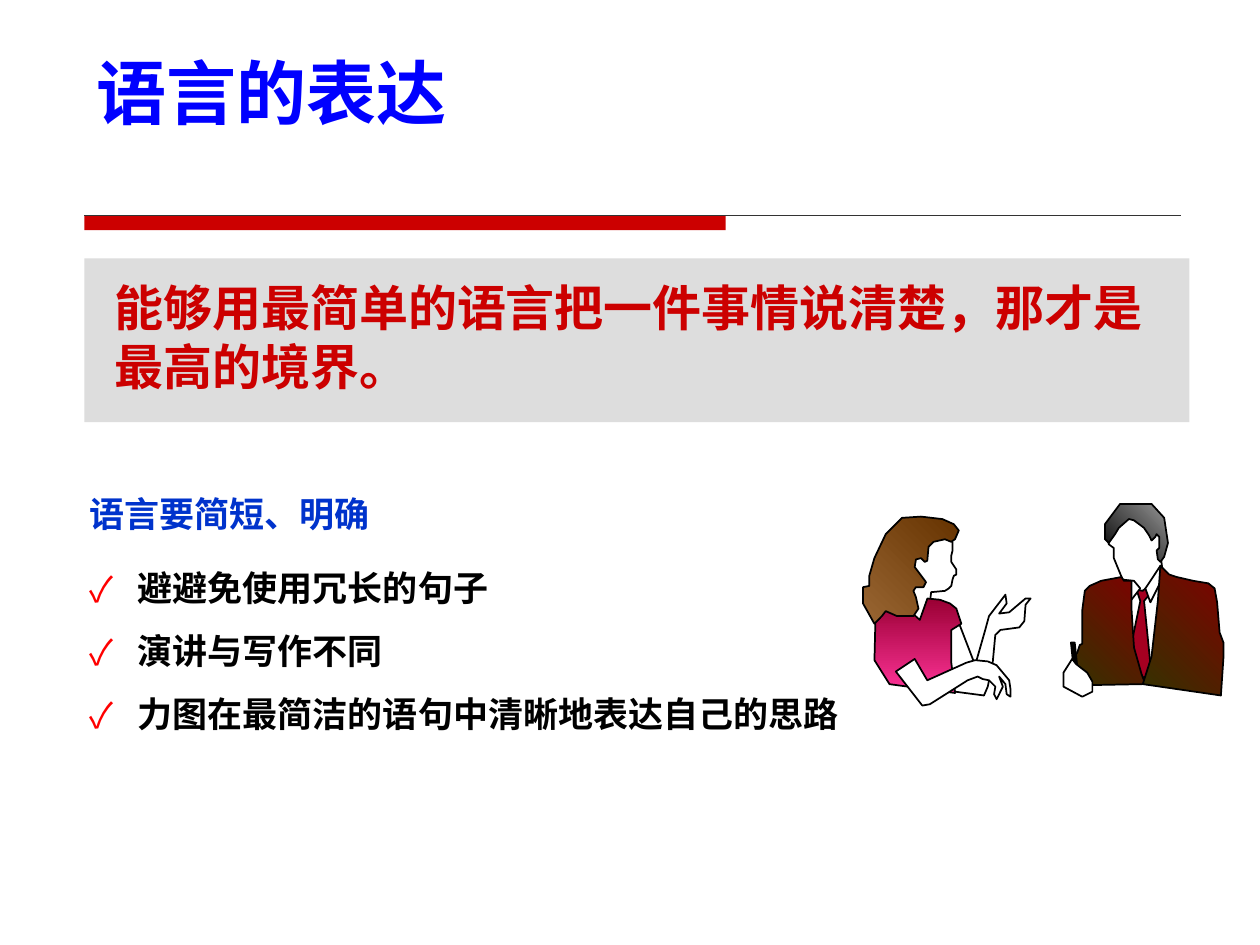
from lxml.etree import SubElement
from pptx import Presentation
from pptx.dml.color import RGBColor
from pptx.enum.shapes import MSO_CONNECTOR, MSO_SHAPE
from pptx.enum.text import MSO_ANCHOR, PP_ALIGN
from pptx.oxml.ns import qn
from pptx.util import Cm, Pt

FONT = "Noto Sans CJK SC"
HEX = {
    "title": "0000FF", "red": "CC0000", "rule": "333333", "panel": "DDDDDD",
    "head": "0033CC", "text": "000000", "tick": "FF0000",
    "white": "FFFFFF", "black": "000000", "tie": "A50021",
    "wine": "990033", "pink": "FF3399", "tan": "996633", "brown": "663300",
    "grey": "969696", "olive": "333300", "maroon": "800000",
}
UNIT = 0.0254  # drawing grid step in cm

# Each part: fill name, or (from, to, angle), then x,y points on the grid
WOMAN = [
    ("white", "98,22 105,27 106,31 106,37 105,41 105,46 109,52 109,56 107,57 106,60 "
              "105,65 103,67 100,69 89,70 85,102 64,84 68,35"),
    ("white", "109,89 124,128 132,100 135,89 148,72 149,79 143,87 151,86 164,75 168,75 "
              "164,80 163,93 159,98 144,100 140,104 138,125 134,145 131,152 108,149 "
              "98,124 102,94"),
    (("wine", "pink", 270), "80,92 86,75 96,76 104,79 109,83 113,95 105,100 105,126 "
                            "108,150 56,143 44,124 45,82 70,83"),
    (("tan", "brown", 45), "40,65 35,66 35,79 44,95 50,89 53,85 62,89 75,89 79,83 77,74 "
                           "75,69 77,66 83,66 85,62 76,50 77,44 81,43 84,46 86,45 87,34 "
                           "91,30 100,28 105,30 108,28 111,21 107,16 98,12 81,10 66,11 "
                           "53,24 44,43 40,57"),
    ("white", "61,133 76,123 86,140 117,126 124,124 134,125 141,128 151,140 152,147 "
              "152,153 149,151 148,143 143,137 146,145 142,153 141,155 139,151 140,145 "
              "135,140 130,139 126,137 118,140 88,159 82,160"),
]
SUIT = ("olive", "maroon", 45)
MAN = [
    ("white", "95,66 107,69 124,57 118,130 97,130"),
    ("white", "91,9 79,26 80,32 84,35 84,43 91,60 99,61 100,71 124,63 121,40 123,25 108,9"),
    (("black", "grey", 45), "89,0 77,16 77,28 80,31 85,24 88,19 96,12 100,13 108,19 "
                            "112,25 114,29 117,26 118,24 120,26 120,35 118,37 119,44 "
                            "121,46 124,42 127,31 124,11 114,0"),
    ("tie", "102,68 107,69 110,66 113,71 108,77 114,137 100,138 99,106 105,77"),
    ("white", "124,56 121,49 109,67 113,78"),
    ("white", "92,61 100,61 105,67 98,76"),
    (SUIT, "98,61 92,61 90,58 74,61 65,65 61,69 59,84 59,111 57,112 55,118 50,125 "
           "54,144 109,143 106,135 100,114 98,83"),
    (SUIT, "169,152 171,122 171,110 168,102 166,78 164,67 159,63 147,61 134,58 128,56 "
           "121,49 119,77 114,121 107,143"),
    ("black", "53,110 50,110 53,139 56,138"),
    ("white", "44,134 51,123 54,127 63,134 67,141 67,149 59,153 44,145"),
]


def rgb(name):
    return RGBColor.from_string(HEX[name])


def place(shape, box):
    shape.left, shape.top, shape.width, shape.height = (Cm(v) for v in box)


def write(par, text, size, color):
    run = par.add_run()
    run.text = text
    font = run.font
    font.name, font.size, font.bold = FONT, Pt(size), True
    font.color.rgb = rgb(color)
    SubElement(run._r.get_or_add_rPr(), qn("a:ea"), typeface=FONT)
    par.alignment = PP_ALIGN.LEFT


def title(slide, box):
    shape = slide.shapes.title
    place(shape, box)
    shape.text_frame.vertical_anchor = MSO_ANCHOR.MIDDLE
    write(shape.text_frame.paragraphs[0], "语言的表达", 40, "title")


def block(slide, box, color):
    """Add a plain filled rectangle without outline."""
    shape = slide.shapes.add_shape(MSO_SHAPE.RECTANGLE, *(Cm(v) for v in box))
    shape.shadow.inherit = False
    shape.fill.solid()
    shape.fill.fore_color.rgb = rgb(color)
    shape.line.fill.background()
    return shape


def rule(slide, box):
    left, top, width, height = box
    block(slide, (left, top, 12.93, height), "red")
    line = slide.shapes.add_connector(
        MSO_CONNECTOR.STRAIGHT, Cm(left), Cm(top), Cm(left + width), Cm(top))
    line.line.color.rgb = rgb("rule")
    line.line.width = Pt(0.75)
    SubElement(line._element.spPr, qn("a:effectLst"))


def quote(slide, box):
    frame = block(slide, box, "panel").text_frame
    frame.word_wrap = True
    frame.vertical_anchor = MSO_ANCHOR.TOP
    frame.margin_left = frame.margin_right = Cm(0.61)
    frame.margin_top, frame.margin_bottom = Cm(0.38), Cm(0.51)
    write(frame.paragraphs[0],
          "能够用最简单的语言把一件事情说清楚，那才是最高的境界。", 28, "red")


def tick(par):
    props = par._p.get_or_add_pPr()
    props.set("marL", str(Cm(0.97)))
    props.set("indent", str(-Cm(0.97)))
    color = SubElement(props, qn("a:buClr"))
    SubElement(color, qn("a:srgbClr"), val=HEX["tick"])
    SubElement(props, qn("a:buFont"), typeface=FONT)
    SubElement(props, qn("a:buChar"), char="✓")


def advice(slide, box):
    shape = slide.placeholders[1]
    place(shape, box)
    frame = shape.text_frame
    head = frame.paragraphs[0]
    props = head._p.get_or_add_pPr()
    props.set("marL", "0")
    props.set("indent", "0")
    SubElement(props, qn("a:buNone"))
    head.line_spacing = 1.4
    head.space_before, head.space_after = Pt(0), Pt(6)
    write(head, "语言要简短、明确", 20, "head")
    for text in ("避避免使用冗长的句子", "演讲与写作不同",
                 "力图在最简洁的语句中清晰地表达自己的思路"):
        par = frame.add_paragraph()
        tick(par)
        par.line_spacing = 1.5
        par.space_before = par.space_after = Pt(0)
        write(par, text, 20, "text")


def paint(fill, color):
    if isinstance(color, str):
        fill.solid()
        fill.fore_color.rgb = rgb(color)
        return
    *ends, angle = color
    fill.gradient()
    fill.gradient_angle = angle
    for stop, name, pos in zip(fill.gradient_stops, ends, (0, 1)):
        stop.color.rgb = rgb(name)
        stop.position = pos


def figure(slide, left, top, parts):
    """Draw one person as a group of outlines from the given corner."""
    group = slide.shapes.add_group_shape()
    for color, text in parts:
        points = [tuple(int(n) for n in pair.split(",")) for pair in text.split()]
        path = group.shapes.build_freeform(*points[0], scale=Cm(UNIT))
        path.add_line_segments(points[1:], close=True)
        shape = path.convert_to_shape(Cm(left), Cm(top))
        shape.shadow.inherit = False
        paint(shape.fill, color)
        shape.line.color.rgb = rgb("black")
        shape.line.width = Pt(1)


def main():
    deck = Presentation()
    deck.slide_width, deck.slide_height = Cm(25.4), Cm(19.05)
    slide = deck.slides.add_slide(deck.slide_layouts[1])
    rule(slide, (1.7, 4.34, 22.1, 0.3))
    title(slide, (1.7, 0.91, 21.64, 1.85))
    quote(slide, (1.7, 5.21, 22.28, 3.3))
    advice(slide, (1.55, 9.47, 15.85, 5.46))
    figure(slide, 16.51, 10.16, WOMAN)
    figure(slide, 20.32, 10.16, MAN)
    deck.save("out.pptx")


if __name__ == "__main__":
    main()
